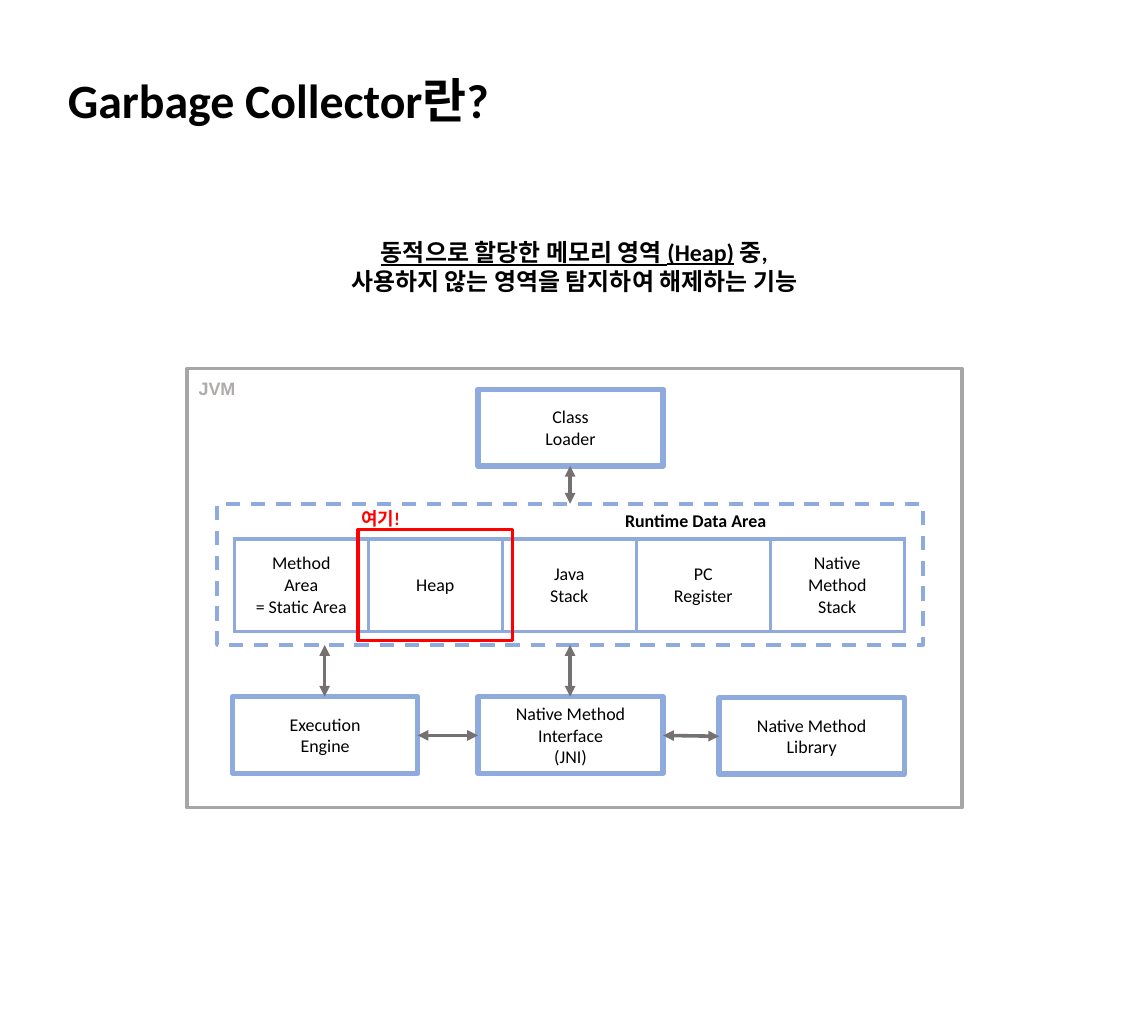
from lxml.etree import SubElement
from pptx import Presentation
from pptx.dml.color import RGBColor
from pptx.enum.dml import MSO_LINE_DASH_STYLE as Dash
from pptx.enum.shapes import MSO_CONNECTOR as Connector, MSO_SHAPE as Shape
from pptx.enum.text import MSO_ANCHOR as Anchor, PP_ALIGN as Align
from pptx.oxml.ns import qn
from pptx.util import Inches, Pt

COLORS = {
    "text": "000000",
    "box": "8FAADC",
    "arrow": "767171",
    "frame": "A6A6A6",
    "frame_label": "AFABAB",
    "highlight": "FF0000",
}


def rgb(name):
    return RGBColor.from_string(COLORS[name])


class Diagram:
    """Draws styled elements on one slide."""

    def __init__(self, slide):
        self.slide = slide
        self.shapes = slide.shapes

    def fill_text(self, frame, lines, size=15, bold=False, color="text",
                  font="Calibri", align=Align.CENTER):
        """Put each line in its own paragraph; a line is a string or (text, underlined) runs."""
        for index, line in enumerate(lines):
            paragraph = frame.add_paragraph() if index else frame.paragraphs[0]
            paragraph.alignment = align
            paragraph.font.size = Pt(size)
            paragraph.font.bold = bold
            paragraph.font.name = font
            paragraph.font.color.rgb = rgb(color)
            for text, underlined in [(line, False)] if isinstance(line, str) else line:
                run = paragraph.add_run()
                run.text = text
                if underlined:
                    run.font.underline = True

    def text(self, left, top, width, height, lines, wrap=True, **style):
        frame = self.shapes.add_textbox(
            Inches(left), Inches(top), Inches(width), Inches(height)).text_frame
        frame.word_wrap = wrap
        self.fill_text(frame, lines, bold=True, **style)

    def box(self, left, top, width, height, lines=(), color="box", weight=3.0, dash=None):
        shape = self.shapes.add_shape(
            Shape.RECTANGLE, Inches(left), Inches(top), Inches(width), Inches(height))
        shape.shadow.inherit = False
        shape.fill.background()
        shape.line.color.rgb = rgb(color)
        shape.line.width = Pt(weight)
        if dash:
            shape.line.dash_style = dash
        shape.text_frame.vertical_anchor = Anchor.MIDDLE
        self.fill_text(shape.text_frame, lines)

    def component(self, left, top, lines):
        self.box(left, top, 2.15, 0.89, lines, weight=4.5)

    def double_arrow(self, x1, y1, x2, y2):
        connector = self.shapes.add_connector(
            Connector.STRAIGHT, Inches(x1), Inches(y1), Inches(x2), Inches(y2))
        connector.line.color.rgb = rgb("arrow")
        connector.line.width = Pt(3)
        properties = connector.element.spPr
        line = properties.find(qn("a:ln"))
        for end in ("a:headEnd", "a:tailEnd"):
            SubElement(line, qn(end), type="triangle")
        SubElement(properties, qn("a:effectLst"))

    def border(self, cell):
        properties = cell._tc.get_or_add_tcPr()
        for side in ("a:lnL", "a:lnR", "a:lnT", "a:lnB"):
            line = SubElement(properties, qn(side), w=str(Pt(3)))
            fill = SubElement(line, qn("a:solidFill"))
            SubElement(fill, qn("a:srgbClr"), val=COLORS["box"])

    def table_row(self, left, top, width, height, cells):
        table = self.shapes.add_table(
            1, len(cells), Inches(left), Inches(top), Inches(width), Inches(height)).table
        table.first_row = False
        table.horz_banding = False
        for cell, lines in zip(table.rows[0].cells, cells):
            self.border(cell)
            cell.fill.background()
            cell.vertical_anchor = Anchor.MIDDLE
            self.fill_text(cell.text_frame, lines)


def main():
    presentation = Presentation()
    presentation.slide_width = Inches(13.33)
    presentation.slide_height = Inches(11.81)
    diagram = Diagram(presentation.slides.add_slide(presentation.slide_layouts[6]))

    diagram.text(0.69, 0.77, 5.19, 0.77, ["Garbage Collector란?"],
                 wrap=False, size=40, align=Align.LEFT)
    diagram.text(2.52, 2.71, 8.3, 0.77, [
        [("동적으로 할당한 메모리 영역 (Heap)", True), (" 중,", False)],
        "사용하지 않는 영역을 탐지하여 해제하는 기능",
    ], size=20)

    diagram.box(2.52, 5.85, 8.2, 1.64, dash=Dash.DASH)
    for left, top, lines in [
        (5.55, 4.52, ["Class", "Loader"]),
        (2.7, 8.09, ["Execution", "Engine"]),
        (5.55, 8.09, ["Native Method", "Interface", "(JNI)"]),
        (8.35, 8.1, ["Native Method", "Library"]),
    ]:
        diagram.component(left, top, lines)

    diagram.table_row(2.72, 6.26, 7.78, 1.07, [
        ["Method", "Area", "= Static Area"],
        ["Heap"],
        ["Java", "Stack"],
        ["PC", "Register"],
        ["Native", "Method", "Stack"],
    ])
    diagram.text(7.16, 5.87, 1.86, 0.35, ["Runtime Data Area"], align=Align.LEFT)

    for ends in [
        (6.62, 5.41, 6.62, 5.85),
        (6.62, 7.49, 6.62, 8.09),
        (3.77, 7.49, 3.77, 8.09),
        (8.35, 8.55, 7.7, 8.54),
        (5.55, 8.54, 4.85, 8.54),
    ]:
        diagram.double_arrow(*ends)

    diagram.box(2.17, 4.28, 9, 5.1, color="frame")
    diagram.text(2.2, 4.33, 0.64, 0.35, ["JVM"], color="frame_label", font="Arial")
    diagram.box(4.16, 6.15, 1.79, 1.29, color="highlight")
    diagram.text(3.94, 5.84, 0.96, 0.35, ["여기!"], color="highlight")

    presentation.save("out.pptx")


if __name__ == "__main__":
    main()
